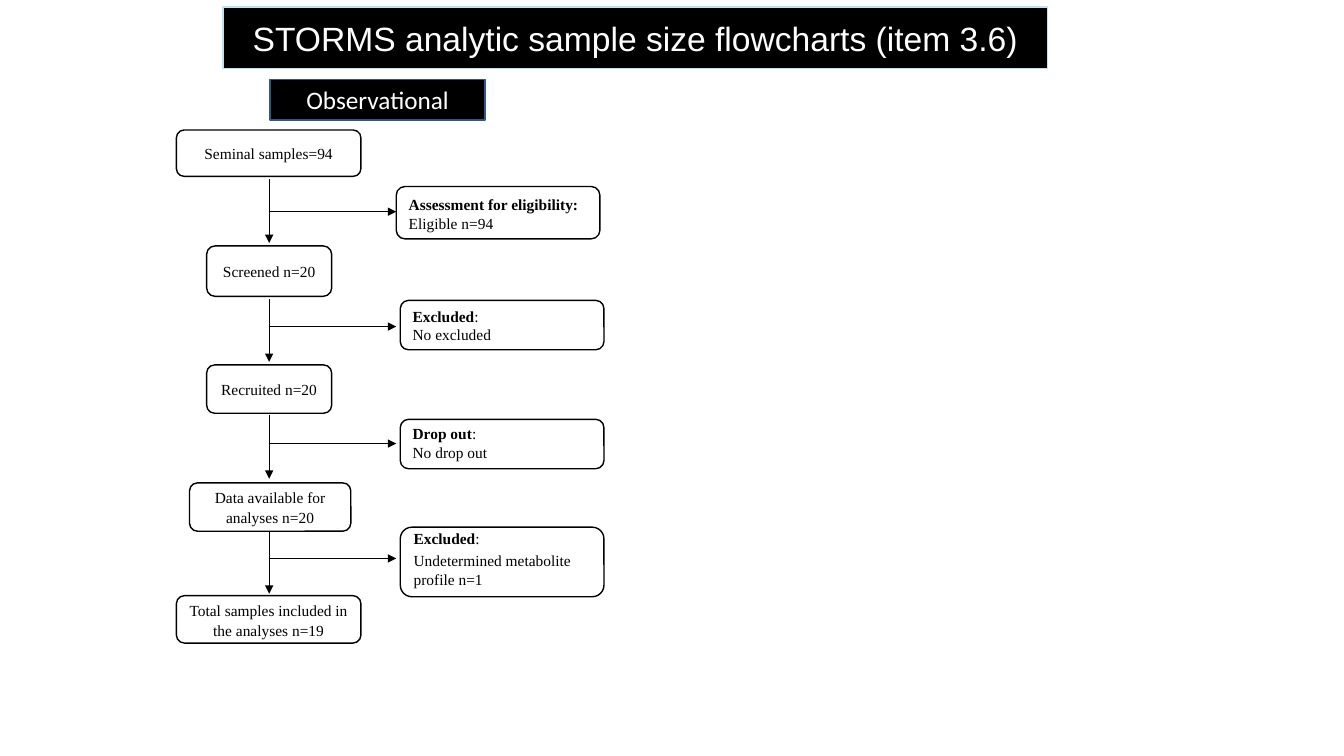
from lxml.etree import SubElement
from pptx import Presentation
from pptx.dml.color import RGBColor
from pptx.enum.shapes import MSO_CONNECTOR, MSO_SHAPE
from pptx.enum.text import MSO_ANCHOR, MSO_AUTO_SIZE, PP_ALIGN
from pptx.oxml.ns import qn
from pptx.util import Inches, Pt

BLACK = RGBColor(0x00, 0x00, 0x00)
WHITE = RGBColor(0xFF, 0xFF, 0xFF)
PALE_BLUE = RGBColor(0xC1, 0xE2, 0xF1)
DARK_BLUE = RGBColor(0x32, 0x54, 0x91)


def write_text(shape, paragraphs, font="Times New Roman", size=11, color=BLACK,
               fill=WHITE, outline=BLACK, align=PP_ALIGN.CENTER,
               anchor=MSO_ANCHOR.MIDDLE):
    """Format a box; each paragraph is (bold text, plain text, line, before, after)."""
    shape.fill.solid()
    shape.fill.fore_color.rgb = fill
    shape.line.color.rgb = outline
    shape.line.width = Pt(1)
    frame = shape.text_frame
    frame.word_wrap = True
    frame.auto_size = MSO_AUTO_SIZE.NONE
    frame.vertical_anchor = anchor
    for index, (bold, plain, spacing, before, after) in enumerate(paragraphs):
        paragraph = frame.add_paragraph() if index else frame.paragraphs[0]
        paragraph.alignment = align
        paragraph.line_spacing = spacing
        paragraph.space_before = Pt(before)
        paragraph.space_after = Pt(after)
        for text, is_bold in ((bold, True), (plain, False)):
            if text:
                run = paragraph.add_run()
                run.text = text
                run.font.name = font
                run.font.size = Pt(size)
                run.font.bold = is_bold
                run.font.color.rgb = color


def add_arrow(x1, y1, x2, y2):
    arrow = slide.shapes.add_connector(
        MSO_CONNECTOR.STRAIGHT, Inches(x1), Inches(y1), Inches(x2), Inches(y2))
    arrow.line.color.rgb = BLACK
    arrow.line.width = Pt(0.5)
    SubElement(arrow.line._get_or_add_ln(), qn("a:tailEnd"), type="triangle")
    SubElement(arrow._element.spPr, qn("a:effectLst"))


presentation = Presentation()
presentation.slide_width = Inches(13.33)
presentation.slide_height = Inches(7.5)
slide = presentation.slides.add_slide(presentation.slide_layouts[5])

# Title with rounded outline
title = slide.shapes.title
title.left, title.top = Inches(2.21), Inches(0.07)
title.width, title.height = Inches(8.18), Inches(0.61)
SubElement(title._element.spPr, qn("a:prstGeom"), prst="roundRect")
write_text(title, [("", "STORMS analytic sample size flowcharts (item 3.6)", 1.0, 0, 0)],
           font="Arial", size=24, color=WHITE, fill=BLACK, outline=PALE_BLUE)

# Study type
study_type = slide.shapes.add_shape(
    MSO_SHAPE.RECTANGLE, Inches(2.68), Inches(0.79), Inches(2.13), Inches(0.4))
study_type.shadow.inherit = False
write_text(study_type, [("", "Observational", 1.0, 0, 0)],
           font="Calibri", size=18, color=WHITE, fill=BLACK, outline=DARK_BLUE)

# Main stages: left, top, width, height, text
stages = [
    (1.75, 1.29, 1.83, 0.46, "Seminal samples=94"),
    (2.05, 2.44, 1.24, 0.5, "Screened n=20"),
    (2.05, 3.62, 1.24, 0.48, "Recruited n=20"),
    (1.88, 4.79, 1.6, 0.48, "Data available for analyses n=20"),
    (1.75, 5.91, 1.83, 0.47, "Total samples included in the analyses n=19"),
]
for left, top, width, height, text in stages:
    stage = slide.shapes.add_shape(
        MSO_SHAPE.FLOWCHART_ALTERNATE_PROCESS,
        Inches(left), Inches(top), Inches(width), Inches(height))
    stage.shadow.inherit = False
    write_text(stage, [("", text, 1.07, 6, 14)])

# Side notes: left, top, height, paragraphs
notes = [
    (3.93, 1.85, 0.52, [("Assessment for eligibility:", "", 1.07, 6, 0),
                        ("", "Eligible n=94", 0.5, 6, 0)]),
    (3.97, 2.98, 0.49, [("Excluded", ":", 0.5, 6, 0),
                        ("", "No excluded", 0.5, 6, 0)]),
    (3.97, 4.16, 0.49, [("Drop out", ":", 1.0, 0, 0),
                        ("", "No drop out", 1.0, 0, 0)]),
    (3.97, 5.23, 0.69, [("Excluded", ":", 1.0, 6, 0),
                        ("", "Undetermined metabolite profile n=1", 1.0, 3, 0)]),
]
for left, top, height, paragraphs in notes:
    note = slide.shapes.add_shape(
        MSO_SHAPE.FLOWCHART_ALTERNATE_PROCESS,
        Inches(left), Inches(top), Inches(2.02), Inches(height))
    note.shadow.inherit = False
    write_text(note, paragraphs, align=PP_ALIGN.LEFT, anchor=MSO_ANCHOR.BOTTOM)

# Each step down has a branch to its note: start, end, branch height
FLOW_X = 2.67
for start, end, branch in [(1.78, 2.41, 2.1), (2.97, 3.59, 3.24),
                           (4.12, 4.75, 4.4), (5.27, 5.89, 5.54)]:
    add_arrow(FLOW_X, start, FLOW_X, end)
    add_arrow(FLOW_X, branch, FLOW_X + 1.26, branch)

presentation.save("out.pptx")
